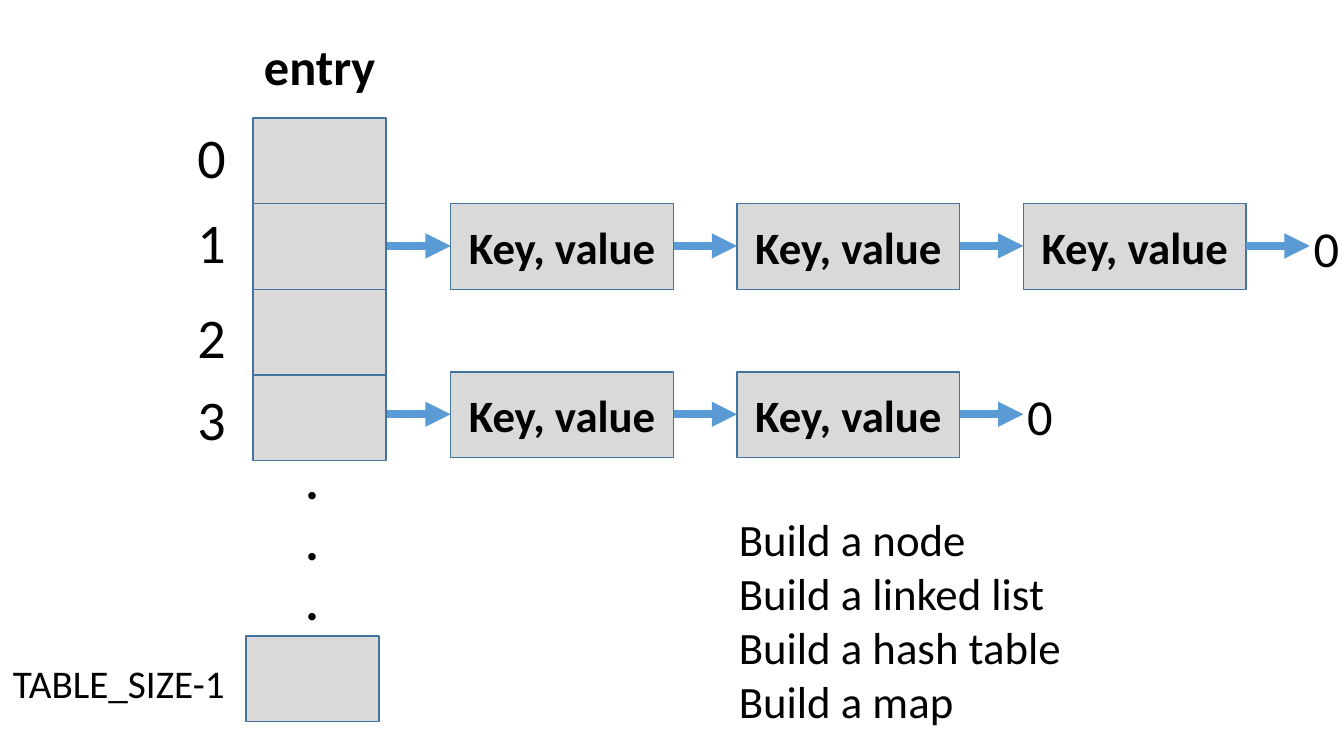
import pptx
import pptx.dml.color
import pptx.enum.shapes
import pptx.enum.text
import pptx.oxml
import pptx.oxml.ns
import pptx.util

PX = 9144
COLORS = {"fill": "D9D9D9", "edge": "43739E", "arrow": "5B9BD5", "text": "000000"}
FONT = "Calibri"
SLOT_LEFT, SLOT_TOP, SLOT_WIDTH = 251, 117, 132
CELL_HEIGHT = 85
NODE_LEFT, NODE_WIDTH, NODE_STEP = 447, 221, 284
ARROW_LENGTH = NODE_STEP - NODE_WIDTH
ALIGN = pptx.enum.text.PP_ALIGN


def px(*lengths):
    return [pptx.util.Emu(length * PX) for length in lengths]


def color(name):
    return pptx.dml.color.RGBColor.from_string(COLORS[name])


def write_text(frame, text, size=36, bold=False, align=ALIGN.LEFT):
    for index, line in enumerate(text.split("\n")):
        para = frame.paragraphs[0] if index == 0 else frame.add_paragraph()
        para.alignment = align
        span = para.add_run()
        span.text = line
        span.font.name = FONT
        span.font.size = pptx.util.Pt(size)
        span.font.bold = bold
        span.font.color.rgb = color("text")


def add_label(page, left, top, width, height, text, **style):
    box = page.shapes.add_textbox(*px(left, top, width, height))
    box.text_frame.word_wrap = False
    box.text_frame.auto_size = pptx.enum.text.MSO_AUTO_SIZE.SHAPE_TO_FIT_TEXT
    write_text(box.text_frame, text, **style)


def add_cell(page, left, top, width, text=""):
    kind = pptx.enum.shapes.MSO_SHAPE.RECTANGLE
    box = page.shapes.add_shape(kind, *px(left, top, width, CELL_HEIGHT))
    box.shadow.inherit = False
    box.fill.solid()
    box.fill.fore_color.rgb = color("fill")
    box.line.color.rgb = color("edge")
    box.line.width = pptx.util.Pt(1)
    if text:
        box.text_frame.vertical_anchor = pptx.enum.text.MSO_ANCHOR.MIDDLE
        write_text(box.text_frame, text, size=32, bold=True, align=ALIGN.CENTER)


def add_arrow(page, left, right, y):
    kind = pptx.enum.shapes.MSO_CONNECTOR.STRAIGHT
    arrow = page.shapes.add_connector(kind, *px(left, y, right, y))
    arrow.line.color.rgb = color("arrow")
    arrow.line.width = pptx.util.Pt(6)
    head = pptx.oxml.parse_xml(
        f'<a:tailEnd {pptx.oxml.ns.nsdecls("a")} type="triangle"/>')
    arrow.line._get_or_add_ln().append(head)
    effects = pptx.oxml.parse_xml(f'<a:effectLst {pptx.oxml.ns.nsdecls("a")}/>')
    arrow._element.spPr.append(effects)


def add_chain(page, top, count):
    middle = top + CELL_HEIGHT // 2
    for index in range(count):
        left = NODE_LEFT + index * NODE_STEP
        add_cell(page, left, top, NODE_WIDTH, "Key, value")
        add_arrow(page, left - ARROW_LENGTH, left, middle)
    end = NODE_LEFT + count * NODE_STEP
    add_arrow(page, end - ARROW_LENGTH, end, middle)
    add_label(page, end - 6, top + 8, 46, 71, "0")


def main():
    deck = pptx.Presentation()
    deck.slide_width, deck.slide_height = px(1333, 750)
    page = deck.slides.add_slide(deck.slide_layouts[6])

    add_label(page, SLOT_LEFT, 30, SLOT_WIDTH, 71, "entry", bold=True, align=ALIGN.CENTER)
    for index, label_top in enumerate((117, 201, 295, 377)):
        add_cell(page, SLOT_LEFT, SLOT_TOP + index * CELL_HEIGHT, SLOT_WIDTH)
        add_label(page, 186, label_top, 49, 77, str(index), size=40)
    add_label(page, 293, 441, 34, 192, ".\n.\n.", bold=True)
    add_cell(page, 244, 631, SLOT_WIDTH)
    add_label(page, 3, 649, 233, 57, "TABLE_SIZE-1", size=28)

    add_chain(page, 202, 3)
    add_chain(page, 369, 2)

    steps = "Build a node\nBuild a linked list\nBuild a hash table\nBuild a map"
    add_label(page, 723, 503, 343, 226, steps, size=32)
    deck.save("out.pptx")


if __name__ == "__main__":
    main()
